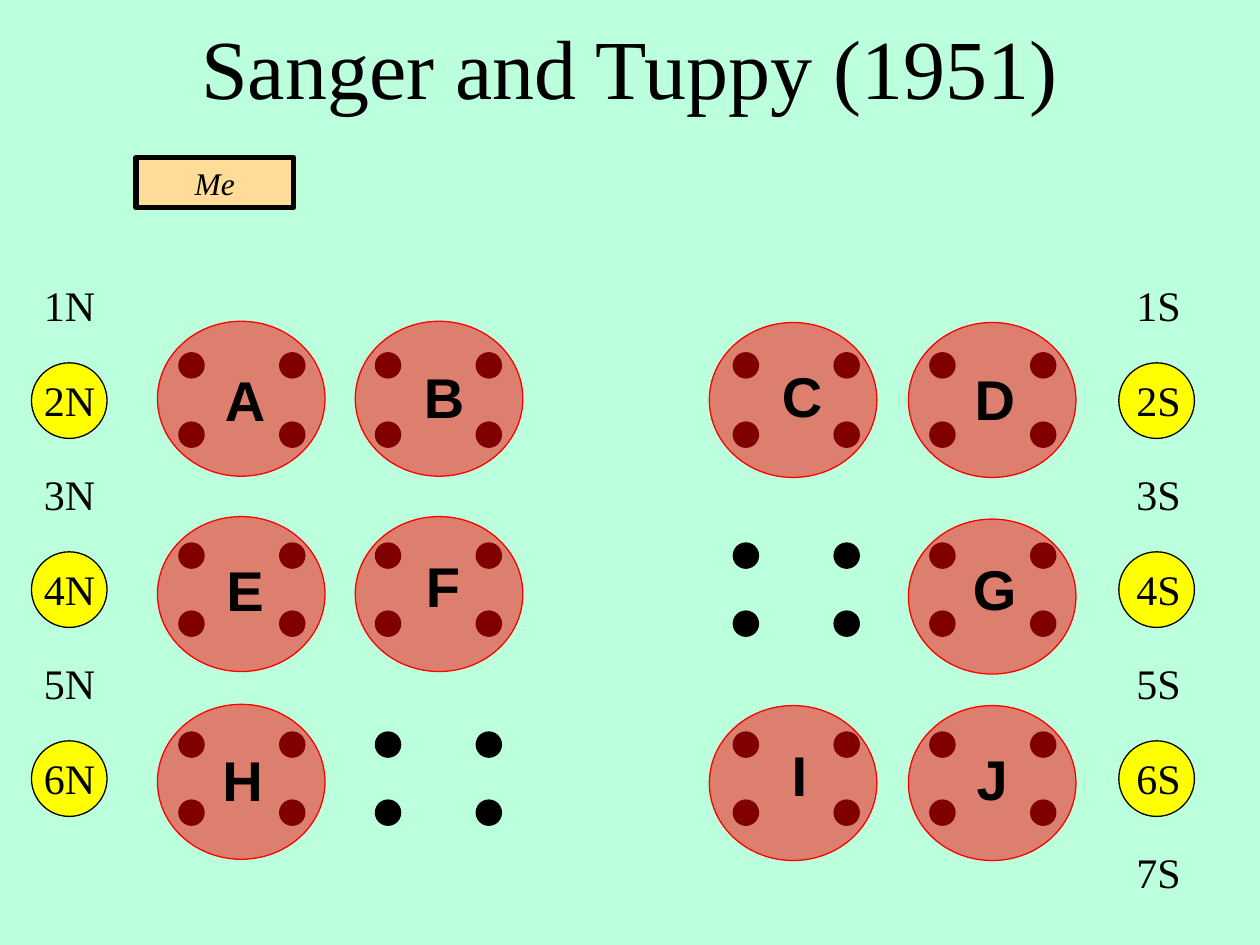
from lxml.etree import SubElement
from pptx import Presentation
from pptx.dml.color import RGBColor
from pptx.enum.shapes import MSO_SHAPE
from pptx.enum.text import MSO_ANCHOR, PP_ALIGN
from pptx.oxml.ns import qn
from pptx.util import Inches, Pt

MINT = RGBColor(0xBB, 0xFF, 0xDD)
BLACK = RGBColor(0, 0, 0)
YELLOW = RGBColor(0xFF, 0xFF, 0)
PEACH = RGBColor(0xFF, 0xDD, 0x99)
RED = RGBColor(0xFF, 0, 0)

SEAT_SIZE = 0.2
SEAT_COLUMNS = (0, 0.8)
TABLE_WIDTH, TABLE_HEIGHT = 1.33, 1.23
LABEL_PITCH = 0.75

TABLE_LEFTS = (1.25, 2.82, 5.63, 7.21)
TABLE_TOPS = ((2.55, 2.55, 2.56, 2.56), (4.1, 4.1, 4.1, 4.12), (5.59, 5.59, 5.6, 5.6))
SEAT_LEFTS = (1.42, 2.98, 5.82, 7.38)
SEAT_TOPS = ((2.8, 3.35), (4.31, 4.85), (5.81, 6.35))
GROUPS = (
    ("A", 0, 0, 1.5, 2.85),
    ("B", 0, 1, 3.08, 2.83),
    ("C", 0, 2, 5.92, 2.82),
    ("D", 0, 3, 7.45, 2.84),
    ("E", 1, 0, 1.5, 4.36),
    ("F", 1, 1, 3.07, 4.33),
    ("G", 1, 3, 7.45, 4.35),
    ("H", 2, 0, 1.48, 5.87),
    ("I", 2, 2, 5.9, 5.83),
    ("J", 2, 3, 7.43, 5.86),
)


def write_text(shape, text, size, font="Times New Roman", bold=False, italic=False,
               align=PP_ALIGN.LEFT, anchor=MSO_ANCHOR.TOP, margin_top=0.05):
    """Put one formatted paragraph into a shape."""
    frame = shape.text_frame
    frame.word_wrap = True
    frame.vertical_anchor = anchor
    frame.margin_top = Inches(margin_top)
    paragraph = frame.paragraphs[0]
    paragraph.text = text
    paragraph.alignment = align
    paragraph.font.size = Pt(size)
    paragraph.font.name = font
    paragraph.font.bold = bold
    paragraph.font.italic = italic
    paragraph.font.color.rgb = BLACK


def add_text(slide, text, left, top, width, height, **text_format):
    """Add a text box."""
    box = slide.shapes.add_textbox(Inches(left), Inches(top), Inches(width), Inches(height))
    write_text(box, text, **text_format)


def add_figure(slide, kind, left, top, width, height, fill, line=BLACK, weight=0.75):
    """Add a filled and outlined preset shape."""
    shape = slide.shapes.add_shape(kind, Inches(left), Inches(top), Inches(width), Inches(height))
    shape.shadow.inherit = False
    shape.fill.solid()
    shape.fill.fore_color.rgb = fill
    shape.line.color.rgb = line
    shape.line.width = Pt(weight)
    return shape


def add_side_labels(slide, letter, count, label_left, circle_left):
    """Number one side of the room and circle the even labels."""
    for number in range(1, count + 1):
        top = 2.17 + (number - 1) * LABEL_PITCH
        if number % 2 == 0:
            add_figure(slide, MSO_SHAPE.OVAL, circle_left, top - 0.04, 0.6, 0.6, YELLOW)
        add_text(slide, f"{number}{letter}", label_left, top, 0.67, 0.5, size=24)


def add_seats(slide, left, tops):
    """Add the four seats of one table."""
    for top in tops:
        for offset in SEAT_COLUMNS:
            add_figure(slide, MSO_SHAPE.OVAL, left + offset, top, SEAT_SIZE, SEAT_SIZE, BLACK)


def add_group(slide, letter, left, top, letter_left, letter_top):
    """Cover one table with a translucent lettered ellipse."""
    ellipse = add_figure(slide, MSO_SHAPE.OVAL, left, top, TABLE_WIDTH, TABLE_HEIGHT, RED, RED)
    color = next(ellipse.fill._xPr.iter(qn("a:srgbClr")))
    SubElement(color, qn("a:alpha"), val="50000")
    add_text(slide, letter, letter_left, letter_top, 0.89, 0.64,
             size=32, font="Arial", bold=True, align=PP_ALIGN.CENTER)


def add_desk(slide, left, top, width, height):
    """Add the speaker's desk."""
    desk = add_figure(slide, MSO_SHAPE.RECTANGLE, left, top, width, height, PEACH, weight=3)
    write_text(desk, "Me", 18, italic=True, align=PP_ALIGN.CENTER, anchor=MSO_ANCHOR.MIDDLE)


def main():
    """Build the seating plan."""
    presentation = Presentation()
    presentation.slide_width, presentation.slide_height = Inches(10), Inches(7.5)
    slide = presentation.slides.add_slide(presentation.slide_layouts[6])
    slide.background.fill.solid()
    slide.background.fill.fore_color.rgb = MINT

    add_side_labels(slide, "N", 6, 0.25, 0.25)
    add_side_labels(slide, "S", 7, 8.92, 8.88)
    add_desk(slide, 1.08, 1.25, 1.25, 0.4)
    for tops in SEAT_TOPS:
        for left in SEAT_LEFTS:
            add_seats(slide, left, tops)
    for letter, row, column, letter_left, letter_top in GROUPS:
        add_group(slide, letter, TABLE_LEFTS[column], TABLE_TOPS[row][column],
                  letter_left, letter_top)
    add_text(slide, "Sanger and Tuppy (1951)", 0.87, 0, 8.25, 0.9,
             size=48, align=PP_ALIGN.CENTER, margin_top=0.12)
    presentation.save("out.pptx")


if __name__ == "__main__":
    main()
